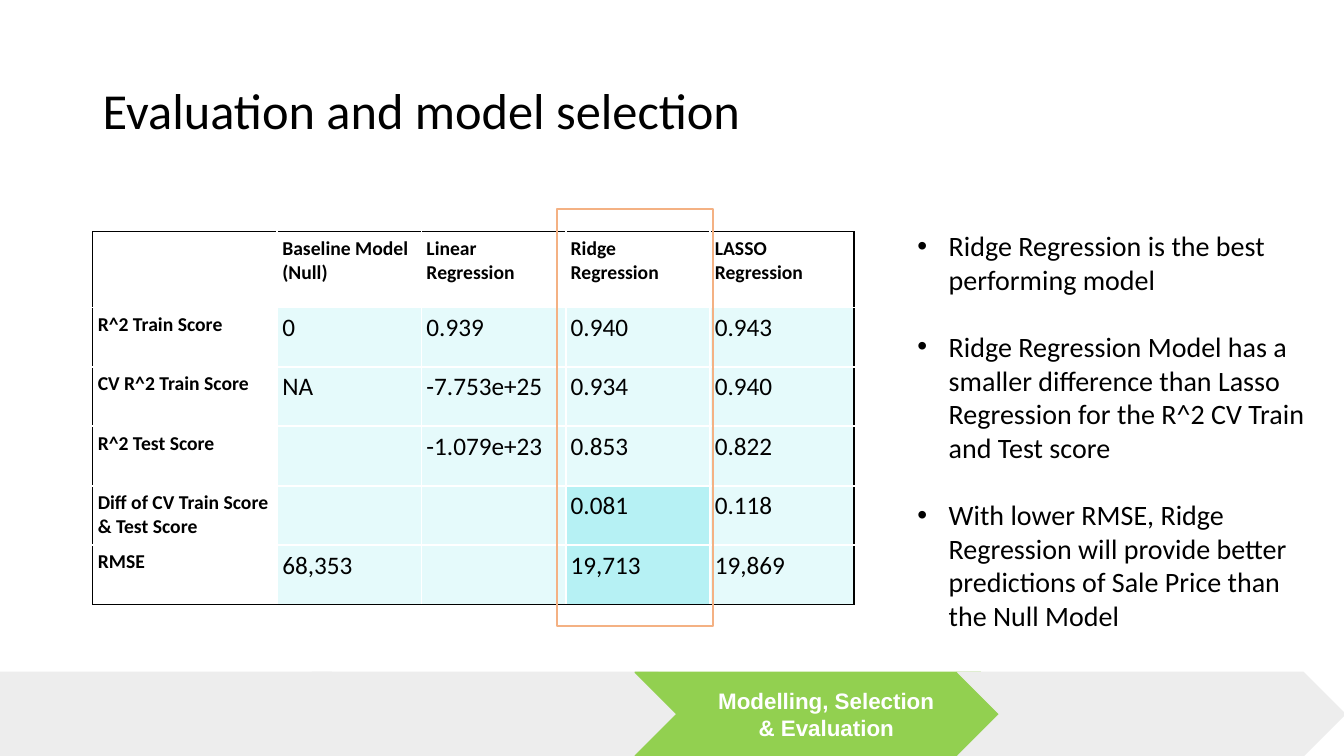
from dataclasses import dataclass

from lxml.etree import SubElement
from pptx import Presentation
from pptx.dml.color import RGBColor
from pptx.enum.shapes import MSO_SHAPE
from pptx.enum.text import MSO_ANCHOR, PP_ALIGN
from pptx.oxml.ns import qn
from pptx.util import Emu, Pt

EMU_PER_PX = 9144  # 100 px to the inch
BLACK, WHITE = "000000", "FFFFFF"
GREY, GREEN, ORANGE = "EDEDED", "92D050", "F4B183"
PALE_CYAN, CYAN = "E5FAFB", "B6F1F4"
INSET = 5


@dataclass
class Stage:
    left: int
    width: int = 384
    preset: MSO_SHAPE = MSO_SHAPE.CHEVRON
    fill: str = GREY


STAGES = [
    Stage(0, width=370, preset=MSO_SHAPE.PENTAGON),
    Stage(310),
    Stage(630, fill=GREEN),
    Stage(950),
]

SCORES = [
    ["", "Baseline Model (Null)", "Linear Regression", "Ridge Regression", "LASSO Regression"],
    ["R^2 Train Score", "0", "0.939", "0.940", "0.943"],
    ["CV R^2 Train Score", "NA", "-7.753e+25", "0.934", "0.940"],
    ["R^2 Test Score", "", "-1.079e+23", "0.853", "0.822"],
    ["Diff of CV Train Score & Test Score", "", "", "0.081", "0.118"],
    ["RMSE", "68,353", "", "19,713", "19,869"],
]
COLUMN_WIDTHS = [183] + [143] * 4
ROW_HEIGHTS = [75] + [59] * 5
BEST_CELLS = {(4, 3), (5, 3)}

FINDINGS = [
    "Ridge Regression is the best performing model",
    "Ridge Regression Model has a smaller difference than Lasso Regression "
    "for the R^2 CV Train and Test score",
    "With lower RMSE, Ridge Regression will provide better predictions "
    "of Sale Price than the Null Model",
]


def px(length: int) -> Emu:
    return Emu(length * EMU_PER_PX)


def rgb(color: str) -> RGBColor:
    return RGBColor.from_string(color)


def write_text(frame, text: str, *, size: int, font: str = "Calibri", color: str = BLACK,
               bold: bool = False, align=PP_ALIGN.LEFT, line_spacing: float = 1.0,
               gap: int = 0, bullet_indent: int = 0) -> None:
    """Write one paragraph for each line of text."""
    for index, line in enumerate(text.split("\n")):
        paragraph = frame.paragraphs[0] if index == 0 else frame.add_paragraph()
        paragraph.alignment = align
        paragraph.line_spacing = line_spacing
        if index and gap:
            paragraph.space_before = Pt(gap)
        if bullet_indent:
            properties = paragraph._p.get_or_add_pPr()
            properties.set("marL", str(px(bullet_indent)))
            properties.set("indent", str(-px(bullet_indent)))
            SubElement(properties, qn("a:buFont"), typeface="Arial")
            SubElement(properties, qn("a:buChar"), char="•")
        paragraph.font.size = Pt(size)
        paragraph.font.name = font
        paragraph.font.bold = bold
        paragraph.font.color.rgb = rgb(color)
        if line:
            paragraph.add_run().text = line


def add_text(slide, text: str, left: int, top: int, width: int, height: int, *,
             inset: int = INSET, anchor=MSO_ANCHOR.TOP, **text_format) -> None:
    frame = slide.shapes.add_textbox(px(left), px(top), px(width), px(height)).text_frame
    frame.word_wrap = True
    frame.vertical_anchor = anchor
    frame.margin_left = frame.margin_right = px(inset)
    frame.margin_top = frame.margin_bottom = px(inset)
    write_text(frame, text, **text_format)


def add_preset(slide, preset: MSO_SHAPE, left: int, top: int, width: int, height: int, *,
               line: str, line_width: float, fill: str = "") -> None:
    shape = slide.shapes.add_shape(preset, px(left), px(top), px(width), px(height))
    shape.shadow.inherit = False
    if fill:
        shape.fill.solid()
        shape.fill.fore_color.rgb = rgb(fill)
    else:
        shape.fill.background()
    shape.line.color.rgb = rgb(line)
    shape.line.width = Pt(line_width)


def set_border(cell, side: str, color: str, width: float) -> None:
    border = SubElement(cell._tc.get_or_add_tcPr(), qn(f"a:ln{side}"), w=str(Pt(width)))
    solid = SubElement(border, qn("a:solidFill"))
    SubElement(solid, qn("a:srgbClr"), val=color)


def add_score_table(slide, left: int, top: int) -> None:
    last_row, last_column = len(ROW_HEIGHTS) - 1, len(COLUMN_WIDTHS) - 1
    table = slide.shapes.add_table(
        len(ROW_HEIGHTS), len(COLUMN_WIDTHS), px(left), px(top),
        px(sum(COLUMN_WIDTHS)), px(sum(ROW_HEIGHTS))).table
    table.first_row = table.horz_banding = False
    for column, width in zip(table.columns, COLUMN_WIDTHS):
        column.width = px(width)
    for row, height in zip(table.rows, ROW_HEIGHTS):
        row.height = px(height)

    for row, values in enumerate(SCORES):
        for column, value in enumerate(values):
            cell = table.cell(row, column)
            heading = row == 0 or column == 0
            cell.margin_left = cell.margin_right = px(INSET)
            cell.margin_top = cell.margin_bottom = px(INSET)
            # Black frame outside, white rules inside
            outer_edges = {"L": column == 0, "R": column == last_column,
                           "T": row == 0, "B": row == last_row}
            for side, outer in outer_edges.items():
                set_border(cell, side, BLACK if outer else WHITE, 1 if outer else 1.5)
            if heading:
                cell.fill.background()
            else:
                cell.fill.solid()
                cell.fill.fore_color.rgb = rgb(CYAN if (row, column) in BEST_CELLS else PALE_CYAN)
            write_text(cell.text_frame, value, size=14 if heading else 18, bold=heading)


def main() -> None:
    presentation = Presentation()
    presentation.slide_width, presentation.slide_height = px(1333), px(750)
    slide = presentation.slides.add_slide(presentation.slide_layouts[6])

    # Title
    add_text(slide, "Evaluation and model selection", 92, 40, 1150, 145, inset=10,
             anchor=MSO_ANCHOR.MIDDLE, size=36, line_spacing=0.9)

    # Progress bar, naming the current stage
    for stage in STAGES:
        add_preset(slide, stage.preset, stage.left, 667, stage.width, 83,
                   fill=stage.fill, line=stage.fill, line_width=1)
    add_text(slide, "Modelling, Selection\n& Evaluation", 675, 679, 289, 59,
             anchor=MSO_ANCHOR.MIDDLE, size=16, font="Arial", color=WHITE, bold=True,
             align=PP_ALIGN.CENTER)

    # Scores, with a frame round the chosen model
    add_score_table(slide, 92, 230)
    add_preset(slide, MSO_SHAPE.RECTANGLE, 552, 207, 155, 414, line=ORANGE, line_width=1.5)

    # Findings
    add_text(slide, "\n".join(FINDINGS), 905, 222, 404, 404, size=20, gap=24, bullet_indent=31)

    presentation.save("out.pptx")


if __name__ == "__main__":
    main()
